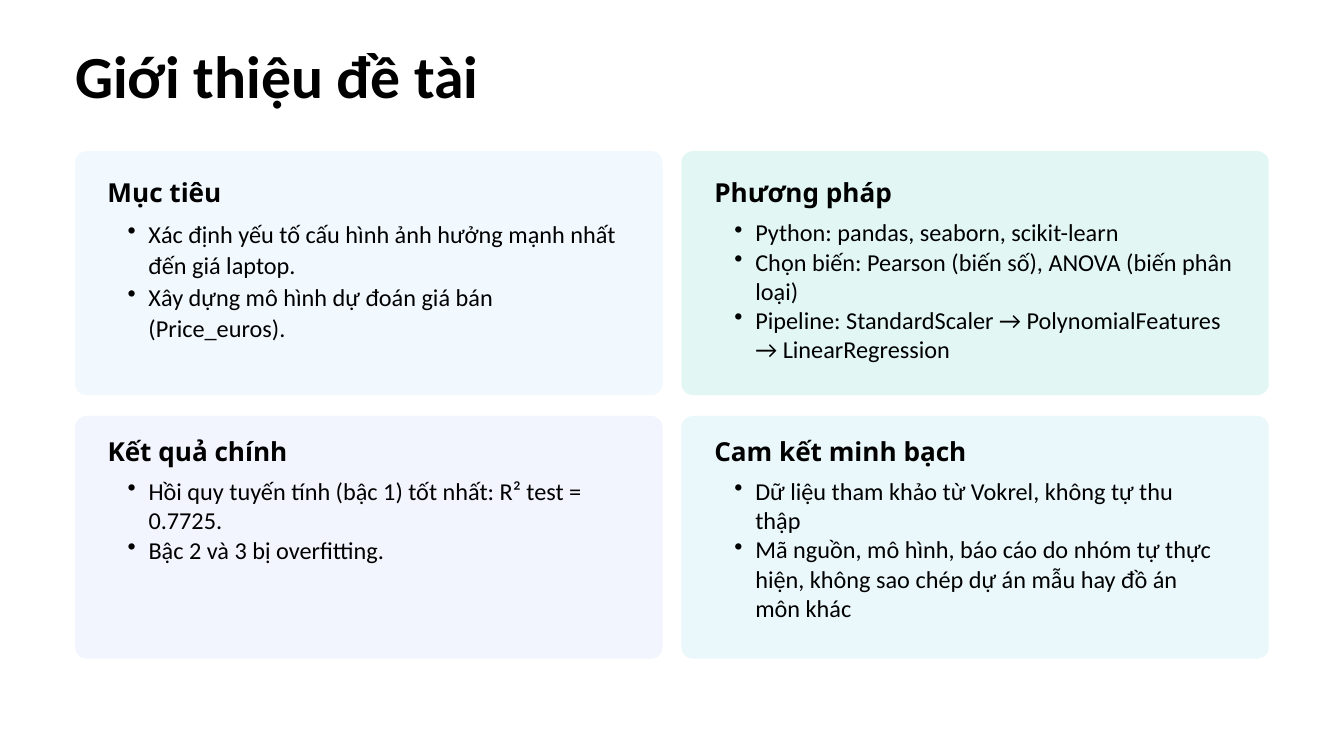
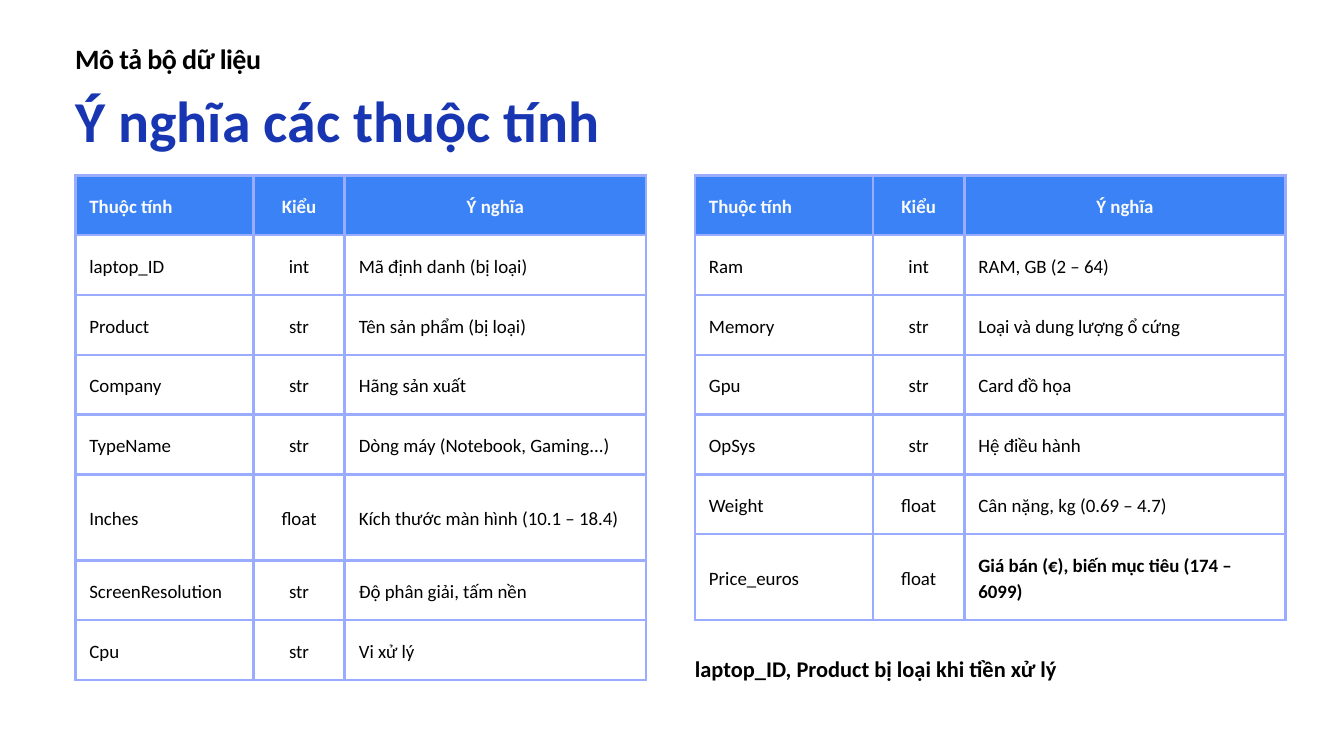
import lxml.etree
import pptx
import pptx.dml.color
import pptx.enum.shapes
import pptx.enum.text
import pptx.oxml.ns
import pptx.util

PX = 9144
LEFT = 112
BLACK = "000000"
BLUE = "3B82F6"
NAVY = "1836B2"
PALE = "F8FAFC"
EDGE = "99ACFF"
BODY = "Calibri"
HEAD = "Noto Sans"
ALIGN = pptx.enum.text.PP_ALIGN
ANCHOR = pptx.enum.text.MSO_ANCHOR


def px(*sizes):
    """Turn px lengths into EMU."""
    return [pptx.util.Emu(size * PX) for size in sizes]


def tint(color):
    """Return the colour of a hex string."""
    return pptx.dml.color.RGBColor.from_string(color)


def add(parent, tag, **attrs):
    """Append one DrawingML element."""
    return lxml.etree.SubElement(parent, pptx.oxml.ns.qn(tag), **attrs)


def mark(para):
    """Give a paragraph a hanging bullet."""
    para.level = 1
    props = para._p.get_or_add_pPr()
    props.set("marL", str(61 * PX))
    props.set("indent", str(-31 * PX))
    add(props, "a:buChar", char="•")


def write(frame, lines, size, lead, font=BODY, color=BLACK, bold=False,
          align=ALIGN.LEFT, bullet=False, track=0, inset=0, anchor=ANCHOR.TOP):
    """Fill a text frame or a cell with formatted paragraphs."""
    frame.margin_left, frame.margin_top, frame.margin_right, frame.margin_bottom = px(*[inset] * 4)
    frame.vertical_anchor = anchor
    body = getattr(frame, "text_frame", frame)
    body.word_wrap = True
    for index, line in enumerate(lines):
        para = body.add_paragraph() if index else body.paragraphs[0]
        if bullet:
            mark(para)
        para.alignment = align
        para.line_spacing = pptx.util.Pt(lead)
        run = para.add_run()
        run.text = line
        run.font.name = font
        run.font.size = pptx.util.Pt(size)
        run.font.bold = bold
        run.font.color.rgb = tint(color)
        if track:
            run._r.get_or_add_rPr().set("spc", str(track))


def label(slide, box, lines, size, lead, **style):
    """Add a text box."""
    shape = slide.shapes.add_textbox(*px(*box))
    write(shape.text_frame, lines, size, lead, **style)


def start(deck, title, box, size, lead, color=BLACK):
    """Add a slide with a placed title."""
    slide = deck.slides.add_slide(deck.slide_layouts[5])
    shape = slide.shapes.title
    shape.left, shape.top, shape.width, shape.height = px(*box)
    shape.text_frame.auto_size = pptx.enum.text.MSO_AUTO_SIZE.NONE
    write(shape.text_frame, [title], size, lead, color=color, bold=True)
    return slide


def panel(slide, box, fill):
    """Add a rounded card."""
    kind = pptx.enum.shapes.MSO_SHAPE.ROUNDED_RECTANGLE
    shape = slide.shapes.add_shape(kind, *px(*box))
    shape.adjustments[0] = 17 / box[3]
    shape.shadow.inherit = False
    shape.fill.solid()
    shape.fill.fore_color.rgb = tint(fill)
    shape.line.fill.background()


def frame(cell):
    """Draw the four borders of a cell."""
    props = cell._tc.get_or_add_tcPr()
    for side in "LRTB":
        line = add(props, f"a:ln{side}", w=str(pptx.util.Pt(3)))
        add(add(line, "a:solidFill"), "a:srgbClr", val=EDGE)


def grid(slide, left, top, wides, rows, tall, strong=()):
    """Add a table of attributes with one taller row."""
    highs = [128 if index == tall else 89 for index in range(len(rows))]
    box = px(left, top, sum(wides), sum(highs))
    table = slide.shapes.add_table(len(rows), len(wides), *box).table
    table.first_row = table.horz_banding = False
    for col, wide in zip(table.columns, px(*wides)):
        col.width = wide
    for r, (row, high) in enumerate(zip(rows, px(*highs))):
        table.rows[r].height = high
        for c, text in enumerate(row):
            cell = table.cell(r, c)
            head = r == 0
            frame(cell)
            if head:
                cell.fill.solid()
                cell.fill.fore_color.rgb = tint(BLUE)
            else:
                cell.fill.background()
            mid = c == 1 or head and c == 2
            write(cell, [text], 20.2, 28.4, color=PALE if head else BLACK,
                  bold=head or (r, c) in strong, inset=21, anchor=ANCHOR.MIDDLE,
                  align=ALIGN.CENTER if mid else ALIGN.LEFT)


def intro(deck):
    """Build the slide with four cards."""
    slide = start(deck, "Giới thiệu đề tài", (LEFT, 57, 805, 108), 64, 77.4)
    cards = [
        ("Mục tiêu", 180, "F1F8FE", (322, 777, 187), 33.8,
         ["Xác định yếu tố cấu hình ảnh hưởng mạnh nhất đến giá laptop.",
          "Xây dựng mô hình dự đoán giá bán (Price_euros)."]),
        ("Phương pháp", 270, "E2F7F4", (324, 779, 257), 31.2,
         ["Python: pandas, seaborn, scikit-learn",
          "Chọn biến: Pearson (biến số), ANOVA (biến phân loại)",
          "Pipeline: StandardScaler → PolynomialFeatures → LinearRegression"]),
        ("Kết quả chính", 275, "F2F4FE", (709, 772, 129), 31.2,
         ["Hồi quy tuyến tính (bậc 1) tốt nhất: R² test = 0.7725.",
          "Bậc 2 và 3 bị overfitting."]),
        ("Cam kết minh bạch", 385, "EAF8FB", (709, 756, 257), 31.2,
         ["Dữ liệu tham khảo từ Vokrel, không tự thu thập",
          "Mã nguồn, mô hình, báo cáo do nhóm tự thực hiện, "
          "không sao chép dự án mẫu hay đồ án môn khác"]),
    ]
    rows = [(225, 363, 255), (619, 361, 640)]
    for index, (name, span, fill, (top, wide, high), lead, lines) in enumerate(cards):
        row, col = divmod(index, 2)
        left = LEFT + col * 902
        card, tall, head = rows[row]
        panel(slide, (left, card, 874, tall), fill)
        inner = left + 48 + col
        label(slide, (inner, head, span, 53), [name], 28, 39.2, font=HEAD, bold=True)
        label(slide, (inner, top, wide, high), lines, 26, lead, bullet=True)


def fields(deck):
    """Build the slide with two attribute tables."""
    slide = start(deck, "Ý nghĩa các thuộc tính", (LEFT, 135, 1085, 97), 62, 68.2, NAVY)
    label(slide, (LEFT, 58, 584, 54), ["Mô tả bộ dữ liệu"], 30, 39, bold=True, track=-60)
    head = ("Thuộc tính", "Kiểu", "Ý nghĩa")
    first = [
        head,
        ("laptop_ID", "int", "Mã định danh (bị loại)"),
        ("Product", "str", "Tên sản phẩm (bị loại)"),
        ("Company", "str", "Hãng sản xuất"),
        ("TypeName", "str", "Dòng máy (Notebook, Gaming...)"),
        ("Inches", "float", "Kích thước màn hình (10.1 – 18.4)"),
        ("ScreenResolution", "str", "Độ phân giải, tấm nền"),
        ("Cpu", "str", "Vi xử lý"),
    ]
    second = [
        head,
        ("Ram", "int", "RAM, GB (2 – 64)"),
        ("Memory", "str", "Loại và dung lượng ổ cứng"),
        ("Gpu", "str", "Card đồ họa"),
        ("OpSys", "str", "Hệ điều hành"),
        ("Weight", "float", "Cân nặng, kg (0.69 – 4.7)"),
        ("Price_euros", "float", "Giá bán (€), biến mục tiêu (174 – 6099)"),
    ]
    right = 1034
    grid(slide, LEFT, 261, (265, 136, 448), first, 5)
    grid(slide, right, 261, (265, 136, 478), second, 6, strong=[(6, 2)])
    label(slide, (right, 968, 571, 44), ["laptop_ID, Product bị loại khi tiền xử lý"],
          24, 33.6, bold=True)


def main():
    """Build and save the deck."""
    deck = pptx.Presentation()
    deck.slide_width, deck.slide_height = px(2000, 1125)
    intro(deck)
    fields(deck)
    deck.save("out.pptx")


if __name__ == "__main__":
    main()
